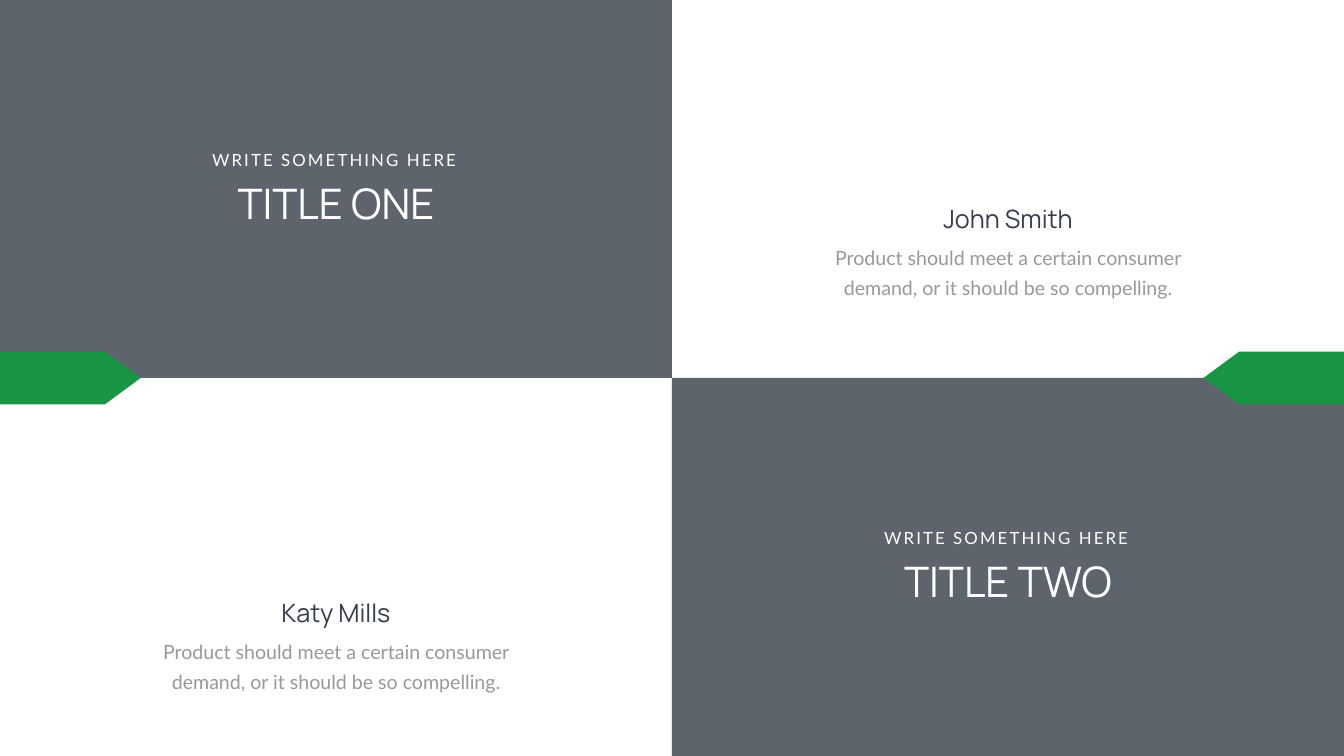
from pptx import Presentation
from pptx.dml.color import RGBColor
from pptx.enum.shapes import MSO_SHAPE as Shape
from pptx.enum.text import MSO_AUTO_SIZE as AutoSize, PP_ALIGN as Align
from pptx.oxml.ns import qn
from pptx.util import Inches, Pt
from lxml.etree import SubElement

# Column and row place each part in the two-by-two grid.
TITLES = [
    {"column": 0, "row": 0, "kicker": "WRITE SOMETHING HERE", "title": "TITLE ONE"},
    {"column": 1, "row": 1, "kicker": "WRITE SOMETHING HERE", "title": "TITLE TWO"},
]
BLURB = "Product should meet a certain consumer demand, or it should be so compelling."
PEOPLE = [
    {"column": 0, "row": 1, "name": "Katy Mills", "blurb": BLURB, "top": 4.3},
    {"column": 1, "row": 0, "name": "John Smith", "blurb": BLURB, "top": 3.98},
]
THEME = {
    "slate": "363E48", "green": "199645", "grey": "999999", "white": "FFFFFF",
    "heading": "Manrope", "body": "Lato",
    "title_size": 60, "name_size": 36, "blurb_size": 28, "kicker_size": 24,
    "panel_opacity": 80, "blurb_leading": 43, "kicker_spacing": 3,
}

SLIDE_W, SLIDE_H = 26.66, 15
CELL_W, CELL_H = SLIDE_W / 2, SLIDE_H / 2
TAB_W, TAB_H, TAB_POINT = 2.79, 1.05, 0.678
NAME_H = 0.71


def add_filled(slide, preset, left, top, width, height, color, opacity=100):
    shape = slide.shapes.add_shape(
        preset, Inches(left), Inches(top), Inches(width), Inches(height))
    shape.shadow.inherit = False
    shape.line.fill.background()
    shape.fill.solid()
    shape.fill.fore_color.rgb = RGBColor.from_string(color)
    if opacity < 100:
        tint = shape.fill._xPr.find(".//" + qn("a:srgbClr"))
        SubElement(tint, qn("a:alpha")).set("val", str(opacity * 1000))
    return shape


def add_text(slide, text, left, top, width, height, *, font, size, color,
             align=Align.CENTER, wrap=True, leading=None, spacing=None):
    box = slide.shapes.add_textbox(
        Inches(left), Inches(top), Inches(width), Inches(height))
    frame = box.text_frame
    frame.word_wrap = wrap
    frame.auto_size = AutoSize.SHAPE_TO_FIT_TEXT
    paragraph = frame.paragraphs[0]
    paragraph.alignment = align
    if leading:
        paragraph.line_spacing = Pt(leading)
    run = paragraph.add_run()
    run.text = text
    run.font.name = font
    run.font.size = Pt(size)
    run.font.color.rgb = RGBColor.from_string(color)
    if spacing:
        run.font._element.set("spc", str(spacing * 100))


def centred(column, width):
    """Left edge that centres a part of this width in its column."""
    return (column + 0.5) * CELL_W - width / 2


def add_person(slide, person):
    column = person["column"]
    top = person["row"] * CELL_H + person["top"]
    add_text(slide, person["blurb"], centred(column, 7.51), top + NAME_H, 7.51, 1.24,
             font=THEME["body"], size=THEME["blurb_size"], color=THEME["grey"],
             leading=THEME["blurb_leading"])
    add_text(slide, person["name"], centred(column, 4.15), top, 4.15, NAME_H,
             font=THEME["heading"], size=THEME["name_size"], color=THEME["slate"])


def add_title(slide, heading):
    column, top = heading["column"], heading["row"] * CELL_H
    add_text(slide, heading["title"], centred(column, 5.17), top + 3.47, 5.17, 1.11,
             font=THEME["heading"], size=THEME["title_size"], color=THEME["white"])
    add_text(slide, heading["kicker"], column * CELL_W + 4.11, top + 2.92, 5.14, 0.5,
             font=THEME["body"], size=THEME["kicker_size"], color=THEME["white"],
             align=Align.LEFT, wrap=False, spacing=THEME["kicker_spacing"])


def main():
    deck = Presentation()
    deck.slide_width, deck.slide_height = Inches(SLIDE_W), Inches(SLIDE_H)
    slide = deck.slides.add_slide(deck.slide_layouts[6])

    for person in PEOPLE:
        add_person(slide, person)
    for heading in TITLES:
        add_filled(slide, Shape.RECTANGLE, heading["column"] * CELL_W,
                   heading["row"] * CELL_H, CELL_W, CELL_H,
                   THEME["slate"], THEME["panel_opacity"])
    for left, rotation in [(0, 0), (SLIDE_W - TAB_W, 180)]:
        tab = add_filled(slide, Shape.PENTAGON, left, CELL_H - TAB_H / 2,
                         TAB_W, TAB_H, THEME["green"])
        tab.adjustments[0] = TAB_POINT
        tab.rotation = rotation
    for heading in TITLES:
        add_title(slide, heading)

    deck.save("out.pptx")


if __name__ == "__main__":
    main()
